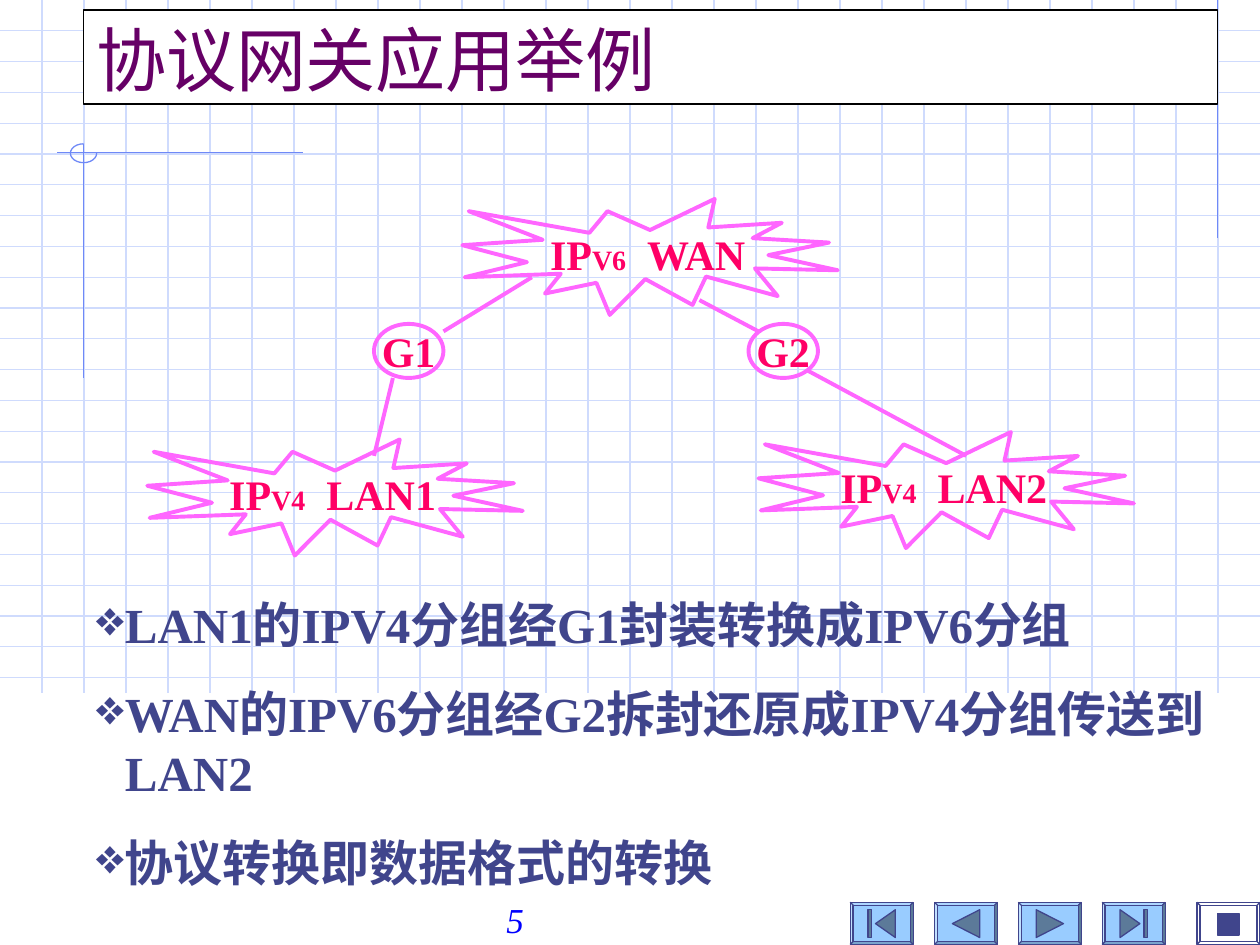
from dataclasses import dataclass
from typing import Optional

from lxml.etree import SubElement
from pptx import Presentation
from pptx.dml.color import RGBColor
from pptx.enum.shapes import MSO_CONNECTOR, MSO_SHAPE as Preset
from pptx.enum.text import MSO_ANCHOR as Anchor, PP_ALIGN as Align
from pptx.oxml.ns import qn
from pptx.util import Cm, Pt

GRID_BLUE = RGBColor(0xCF, 0xDB, 0xFD)
FRAME_BLUE = RGBColor(0x6F, 0x89, 0xF7)
INDIGO = RGBColor(0x40, 0x45, 0x8C)
SKY = RGBColor(0x99, 0xCC, 0xFF)
STEEL = RGBColor(0x5C, 0x7A, 0x99)
PINK = RGBColor(0xFF, 0x66, 0xFF)
ROSE = RGBColor(0xFF, 0x00, 0x66)
PURPLE = RGBColor(0x66, 0x00, 0x66)
BLUE = RGBColor(0x00, 0x00, 0xFF)
WHITE = RGBColor(0xFF, 0xFF, 0xFF)
BLACK = RGBColor(0x00, 0x00, 0x00)
SERIF = "Times New Roman"

# All lengths below are centimetres
SLIDE_WIDTH, SLIDE_HEIGHT = 25.4, 19.05
GRID_HEIGHT, ROWS, COLUMNS = 13.97, 22, 29
ROW_GAP, COLUMN_GAP = GRID_HEIGHT / (ROWS + 0.5), SLIDE_WIDTH / (COLUMNS + 1)
BUTTON_TOP, BUTTON_WIDTH, BUTTON_HEIGHT = 18.19, 1.27, 0.85
ICON_TOP, ICON_BOTTOM, BAR_WIDTH = 0.15, 0.71, 0.07


@dataclass
class Box:
    left: float
    top: float
    width: float
    height: float

    def lengths(self):
        return [Cm(v) for v in (self.left, self.top, self.width, self.height)]


@dataclass
class Network:
    left: float
    top: float
    version: str
    name: str


@dataclass
class Gateway:
    left: float
    name: str


@dataclass
class Button:
    left: float
    tip: float
    base: float
    bar: Optional[float] = None


NETWORKS = [
    Network(2.97, 8.86, "V4", "LAN1"),
    Network(15.29, 8.71, "V4", "LAN2"),
    Network(9.32, 4.01, "V6", "WAN"),
]
GATEWAYS = [Gateway(7.54, "G1"), Gateway(15.09, "G2")]
LINKS = [
    (8.94, 6.68, 10.72, 5.59),
    (14.1, 6.05, 15.29, 6.68),
    (7.92, 7.62, 7.54, 9.19),
    (16.28, 7.47, 19.48, 9.19),
]
FRAME_LINES = [
    (24.55, 0, 24.55, 4.8),
    (6.1, 3.07, 1.14, 3.07),
    (1.69, 2.9, 1.69, 7.62),
]
BUTTONS = [
    Button(17.14, 0.51, 0.91, 0.36),
    Button(18.84, 0.36, 0.91),
    Button(20.53, 0.91, 0.36),
    Button(22.22, 0.76, 0.36, 0.84),
]
POINTS = [
    "LAN1的IPV4分组经G1封装转换成IPV6分组",
    "WAN的IPV6分组经G2拆封还原成IPV4分组传送到LAN2",
    "协议转换即数据格式的转换",
]


def add_line(page, ends: tuple, color: RGBColor, width: float = 0.75) -> None:
    line = page.shapes.add_connector(MSO_CONNECTOR.STRAIGHT, *[Cm(v) for v in ends])
    line.line.color.rgb = color
    line.line.width = Pt(width)
    SubElement(line._element.spPr, qn("a:effectLst"))


def paint(shape, fill: Optional[RGBColor], line: RGBColor, width: float = 0.75):
    shape.shadow.inherit = False
    if fill is None:
        shape.fill.background()
    else:
        shape.fill.solid()
        shape.fill.fore_color.rgb = fill
    shape.line.color.rgb = line
    shape.line.width = Pt(width)
    return shape


def add_shape(page, preset: Preset, box: Box, fill: Optional[RGBColor],
              line: RGBColor, width: float = 0.75):
    return paint(page.shapes.add_shape(preset, *box.lengths()), fill, line, width)


def add_polygon(page, points: list) -> None:
    corners = [(Cm(x), Cm(y)) for x, y in points]
    builder = page.shapes.build_freeform(*corners[0])
    builder.add_line_segments(corners[1:], close=True)
    paint(builder.convert_to_shape(), STEEL, INDIGO)


def add_span(para, text: str, color: RGBColor, **formats):
    span = para.add_run()
    span.text = text
    for name, value in formats.items():
        setattr(span.font, name, value)
    span.font.color.rgb = color
    return span


def center_label(shape):
    frame = shape.text_frame
    for name, value in {"word_wrap": False, "vertical_anchor": Anchor.MIDDLE}.items():
        setattr(frame, name, value)
    para = frame.paragraphs[0]
    para.alignment = Align.CENTER
    return para


def add_network(page, network: Network) -> None:
    box = Box(network.left, network.top, 7.57, 2.34)
    para = center_label(add_shape(page, Preset.EXPLOSION1, box, None, PINK, 2.25))
    style = {"name": SERIF, "bold": True}
    add_span(para, "IP", ROSE, size=Pt(24), **style)
    add_span(para, network.version, ROSE, size=Pt(16), **style)
    gap = add_span(para, " ", ROSE, size=Pt(16), **style)
    gap.font._element.set("spc", "800")  # widens the single space
    add_span(para, network.name, ROSE, size=Pt(24), **style)


def add_gateway(page, gateway: Gateway) -> None:
    box = Box(gateway.left, 6.53, 1.4, 1.09)
    para = center_label(add_shape(page, Preset.OVAL, box, None, PINK, 2.25))
    add_span(para, gateway.name, ROSE, size=Pt(24), name=SERIF, bold=True)


def add_bevel(page, left: float, fill: Optional[RGBColor]) -> None:
    box = Box(left, BUTTON_TOP, BUTTON_WIDTH, BUTTON_HEIGHT)
    add_shape(page, Preset.BEVEL, box, fill, INDIGO).adjustments[0] = 0.07


def add_button(page, button: Button) -> None:
    add_bevel(page, button.left, SKY)
    top, bottom = BUTTON_TOP + ICON_TOP, BUTTON_TOP + ICON_BOTTOM
    tip, base = button.left + button.tip, button.left + button.base
    add_polygon(page, [(tip, (top + bottom) / 2), (base, top), (base, bottom)])
    if button.bar is not None:
        box = Box(button.left + button.bar, top, BAR_WIDTH, bottom - top)
        add_shape(page, Preset.RECTANGLE, box, STEEL, INDIGO)


def add_points(page) -> None:
    frame = page.shapes.add_textbox(*Box(1.69, 11.86, 22.86, 6.25).lengths()).text_frame
    frame.word_wrap = True
    for index, text in enumerate(POINTS):
        para = frame.paragraphs[0] if index == 0 else frame.add_paragraph()
        props = para._p.get_or_add_pPr()
        props.set("marL", str(Cm(0.58)))
        props.set("indent", str(-Cm(0.58)))
        para.space_before = Pt(17.5 if index else 0)
        SubElement(SubElement(props, qn("a:buClr")), qn("a:srgbClr"), val=str(INDIGO))
        SubElement(props, qn("a:buChar"), char="❖")
        add_span(para, text, INDIGO, size=Pt(28), name=SERIF, bold=True)


def main() -> None:
    deck = Presentation()
    deck.slide_width, deck.slide_height = Cm(SLIDE_WIDTH), Cm(SLIDE_HEIGHT)
    page = deck.slides.add_slide(deck.slide_layouts[6])

    # Background grid and corner ornament
    for row in range(1, ROWS + 1):
        add_line(page, (0, row * ROW_GAP, SLIDE_WIDTH, row * ROW_GAP), GRID_BLUE)
    for column in range(1, COLUMNS + 1):
        add_line(page, (column * COLUMN_GAP, 0, column * COLUMN_GAP, GRID_HEIGHT), GRID_BLUE)
    for ends in FRAME_LINES:
        add_line(page, ends, FRAME_BLUE)
    arc = add_shape(page, Preset.ARC, Box(1.42, 2.9, 0.53, 0.38), None, FRAME_BLUE)
    arc.adjustments[0], arc.adjustments[1] = 0, 162  # from 0 to 270 degrees

    # Navigation buttons and page number
    for button in BUTTONS:
        add_button(page, button)
    add_shape(page, Preset.FLOWCHART_PROCESS, Box(24.55, 18.42, 0.43, 0.43), INDIGO, INDIGO)
    add_bevel(page, 24.13, None)
    number = page.shapes.add_textbox(*Box(9.96, 18.36, 2.74, 0.69).lengths()).text_frame
    number.word_wrap = True
    number.paragraphs[0].line_spacing = 0.5
    add_span(number.paragraphs[0], "5", BLUE, size=Pt(20), name=SERIF, italic=True)

    # Title
    title = add_shape(page, Preset.RECTANGLE, Box(1.69, 0.2, 22.86, 1.9), WHITE, BLACK)
    title.text_frame.vertical_anchor = Anchor.TOP
    para = title.text_frame.paragraphs[0]
    para.alignment = Align.LEFT
    add_span(para, "协议网关应用举例", PURPLE, size=Pt(40), name="Karla")

    # Network diagram
    for network in NETWORKS:
        add_network(page, network)
    for gateway in GATEWAYS:
        add_gateway(page, gateway)
    for ends in LINKS:
        add_line(page, ends, PINK, 2.25)

    add_points(page)
    deck.save("out.pptx")


if __name__ == "__main__":
    main()
